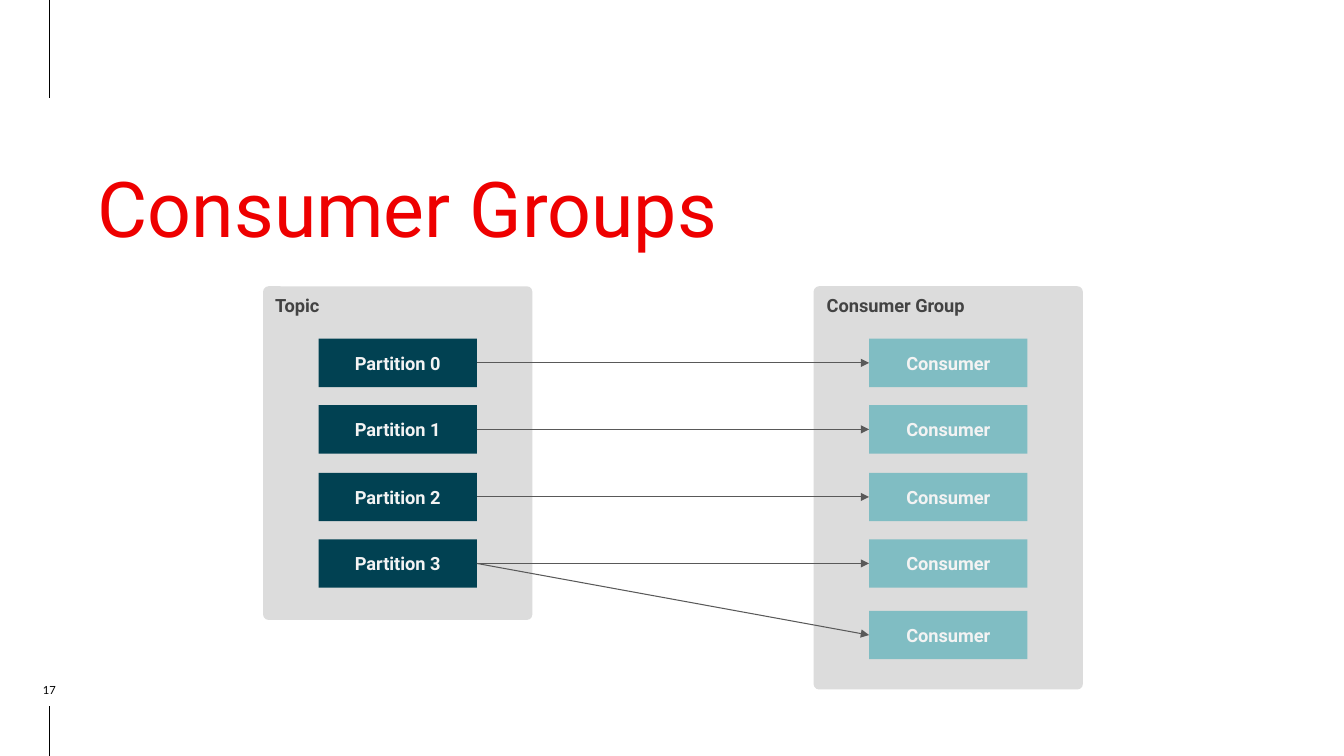
from pptx import Presentation
from pptx.dml.color import RGBColor
from pptx.enum.shapes import MSO_CONNECTOR, MSO_SHAPE
from pptx.enum.text import MSO_ANCHOR, MSO_AUTO_SIZE, PP_ALIGN
from pptx.oxml.ns import qn
from pptx.util import Pt
from lxml.etree import SubElement

PX = 9144  # 100 px to the inch
COLORS = {
    "title": "EE0000", "panel": "DCDCDC", "label": "434343",
    "part": "014152", "reader": "80BDC3", "light": "F3F3F3",
    "arrow": "595959", "black": "000000",
}
TOPS = [336, 402, 469, 535, 606]
BOX_W, BOX_H = 157, 48
PART_X, READER_X = 316, 862


def color(name):
    return RGBColor.from_string(COLORS[name])


def write(shape, text, size=13, tint="label", font="Roboto", bold=True,
          align=PP_ALIGN.LEFT, anchor=MSO_ANCHOR.MIDDLE, inset=(13, 13, 13, 13)):
    frame = shape.text_frame
    frame.word_wrap = True
    frame.auto_size = MSO_AUTO_SIZE.NONE
    frame.vertical_anchor = anchor
    (frame.margin_left, frame.margin_top,
     frame.margin_right, frame.margin_bottom) = (n * PX for n in inset)
    par = frame.paragraphs[0]
    par.alignment = align
    run = par.add_run()
    run.text = text
    run.font.size, run.font.name, run.font.bold = Pt(size), font, bold
    run.font.color.rgb = color(tint)


class Deck:
    def __init__(self, width, height):
        self.show = Presentation()
        self.show.slide_width, self.show.slide_height = width * PX, height * PX
        self.slide = self.show.slides.add_slide(self.show.slide_layouts[5])
        self.shapes = self.slide.shapes

    def title(self, text, x, y, w, h):
        head = self.shapes.title
        head.left, head.top, head.width, head.height = (n * PX for n in (x, y, w, h))
        write(head, text, size=55, tint="title", bold=False,
              anchor=MSO_ANCHOR.TOP, inset=(48, 10, 10, 10))

    def text(self, text, x, y, w, h, **style):
        write(self.shapes.add_textbox(x * PX, y * PX, w * PX, h * PX), text, **style)

    def block(self, kind, fill, x, y, w, h):
        shape = self.shapes.add_shape(kind, x * PX, y * PX, w * PX, h * PX)
        shape.shadow.inherit = False
        shape.fill.solid()
        shape.fill.fore_color.rgb = color(fill)
        shape.line.fill.background()
        return shape

    def panel(self, text, x, h, text_x):
        shape = self.block(MSO_SHAPE.ROUNDED_RECTANGLE, "panel", x, 284, 267, h)
        shape.adjustments[0] = 0.02
        self.text(text, text_x, 291, 267, 23)

    def box(self, text, fill, x, y):
        shape = self.block(MSO_SHAPE.RECTANGLE, fill, x, y, BOX_W, BOX_H)
        write(shape, text, tint="light", align=PP_ALIGN.CENTER)
        return shape

    def line(self, x1, y1, x2, y2, tint="black"):
        link = self.shapes.add_connector(
            MSO_CONNECTOR.STRAIGHT, x1 * PX, y1 * PX, x2 * PX, y2 * PX)
        link.line.color.rgb = color(tint)
        link.line.width = Pt(0.75)
        SubElement(link._element.spPr, qn("a:effectLst"))
        return link

    def arrow(self, start, end):
        link = self.line(0, 0, 0, 0, "arrow")
        link.begin_connect(start, 3)
        link.end_connect(end, 1)
        SubElement(link.line._get_or_add_ln(), qn("a:tailEnd"), type="triangle")


def main():
    deck = Deck(1333, 750)
    deck.line(49, 97, 49, 0)
    deck.line(49, 750, 49, 700)
    deck.text("17", 9, 675, 80, 16, size=8, tint="black", font="Lato", bold=False,
              align=PP_ALIGN.CENTER, anchor=MSO_ANCHOR.BOTTOM, inset=(0, 0, 0, 0))
    deck.title("Consumer Groups", 49, 149, 1235, 480)

    deck.panel("Topic", 261, 331, 260)
    parts = [deck.box(f"Partition {i}", "part", PART_X, y)
             for i, y in enumerate(TOPS[:4])]
    deck.panel("Consumer Group", 807, 400, 807)
    readers = [deck.box("Consumer", "reader", READER_X, y) for y in TOPS]

    for start, end in zip(parts + parts[-1:], readers):
        deck.arrow(start, end)
    deck.show.save("out.pptx")


if __name__ == "__main__":
    main()
